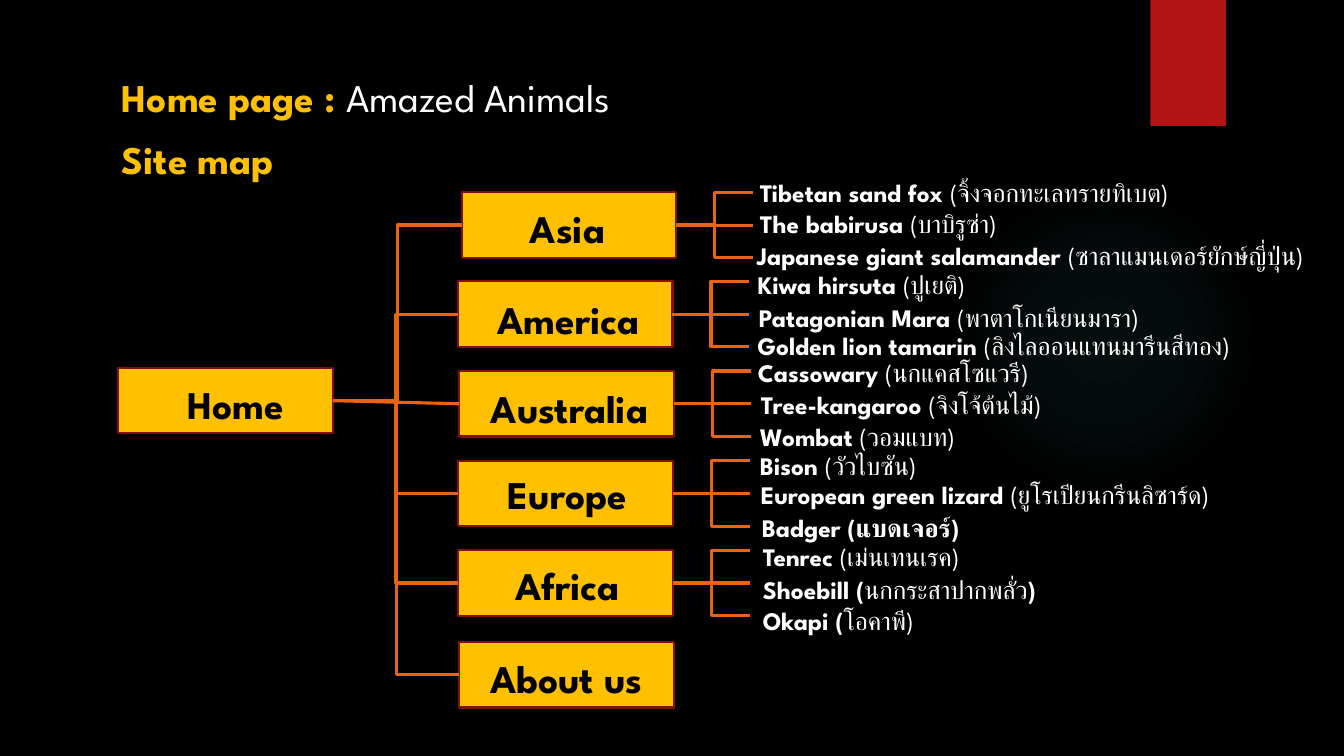
from pptx import Presentation
from pptx.dml.color import RGBColor
from pptx.enum.shapes import MSO_CONNECTOR, MSO_SHAPE
from pptx.enum.text import MSO_AUTO_SIZE, PP_ALIGN
from pptx.oxml import parse_xml
from pptx.oxml.ns import nsdecls
from pptx.util import Pt

RECT, OVAL = MSO_SHAPE.RECTANGLE, MSO_SHAPE.OVAL
ELBOW, STRAIGHT = MSO_CONNECTOR.ELBOW, MSO_CONNECTOR.STRAIGHT
LEFT, CENTER = PP_ALIGN.LEFT, PP_ALIGN.CENTER
FIT_TEXT = MSO_AUTO_SIZE.SHAPE_TO_FIT_TEXT

FONT = "League Spartan"
BLACK, WHITE, GOLD = "000000", "FFFFFF", "FFC000"
RED, MAROON, ORANGE, TEAL = "B01513", "82100E", "EA6312", "50B9C1"

# Runs in a tuple alternate bold, regular, bold.
HEADINGS = [  # left, top, width, runs
    (80, 49, 564, ("Home page : ", "Amazed Animals")),
    (80, 92.9, 157, ("Site map",)),
]
HOME = ("Home", 84.3, 262.8, 99.4, 267.8)
# name, box left, box top, label left, label top, animals (left, top, width, runs)
PAGES = [
    ("Asia", 329.8, 137.4, 336.2, 142.6, [
        (535.7, 123.1, 307, ("Tibetan sand fox ", "(จิ้งจอกทะเลทรายทิเบต)")),
        (535.7, 145.4, 247, ("The babirusa ", "(บาบิรูซ่า)")),
        (533.5, 167.8, 415, ("Japanese giant salamander ", "(ซาลาแมนเดอร์ยักษ์ญี่ปุ่น)")),
    ]),
    ("America", 327, 201, 337, 207.4, [
        (534.2, 188.6, 289, ("Kiwa hirsuta ", "(ปูเยติ)")),
        (535, 212.4, 376, ("Patagonian Mara ", "(พาตาโกเนียนมารา)")),
        (534.2, 232.6, 396, ("Golden lion tamarin ", "(ลิงไลออนแทนมารีนสีทอง)")),
    ]),
    ("Australia", 328.2, 265, 337.7, 270.7, [
        (534.2, 252, 250, ("Cassowary ", "(นกแคสโซแวรี)")),
        (536.4, 274.3, 280, ("Tree-kangaroo ", "(จิงโจ้ต้นไม้)")),
        (535.7, 297.4, 217, ("Wombat ", "(วอมแบท)")),
    ]),
    ("Europe", 327.5, 329, 336.2, 332.6, [
        (535.7, 318.2, 138, ("Bison ", "(วัวไบซัน)")),
        (536.4, 339.1, 344, ("European green lizard ", "(ยูโรเปียนกรีนลิซาร์ด)")),
        (537.1, 362.2, 208, ("Badger (แบดเจอร์)",)),
    ]),
    ("Africa", 327.5, 393, 336.2, 397.4, [
        (537.8, 383, 231, ("Tenrec ", "(เม่นเทนเรค)")),
        (537.8, 406.8, 307, ("Shoebill (", "นกกระสาปากพลั่ว", ")")),
        (537.8, 429.1, 196, ("Okapi (", "โอคาพี)")),
    ]),
    ("About us", 328.2, 458.6, 335.5, 463.7, []),
]

BOX_W, BOX_H = 153.4, 46.8
LABEL_W = 138.2
FAN_W = 55
RIGHT_SITE, LEFT_SITE = 3, 1


def rgb(color):
    return RGBColor.from_string(color)


def add_block(kind, left, top, width, height, fill, line=None):
    sp = slide.shapes.add_shape(kind, Pt(left), Pt(top), Pt(width), Pt(height))
    sp.shadow.inherit = False
    sp.fill.solid()
    sp.fill.fore_color.rgb = rgb(fill)
    if line:
        sp.line.color.rgb = rgb(line)
        sp.line.width = Pt(1.5)
    else:
        sp.line.fill.background()
    return sp


def add_text(left, top, width, runs, size, colors, align=LEFT):
    """Add one line of text; colors holds the bold and the regular colour."""
    height = 41 if size == 28 else 29
    tf = slide.shapes.add_textbox(Pt(left), Pt(top), Pt(width), Pt(height)).text_frame
    tf.word_wrap = True
    tf.auto_size = FIT_TEXT
    p = tf.paragraphs[0]
    p.alignment = align
    for i, text in enumerate(runs):
        r = p.add_run()
        r.text = text
        r.font.name = FONT
        r.font.size = Pt(size)
        r.font.bold = i % 2 == 0
        r.font.color.rgb = rgb(colors[i % 2])


def add_node(name, left, top, label_left, label_top):
    box = add_block(RECT, left, top, BOX_W, BOX_H, GOLD, MAROON)
    add_text(label_left, label_top, LABEL_W, (name,), 28, (BLACK, BLACK), CENTER)
    return box


def add_link(kind, start, end_x, end_y):
    """Connect the right side of a box to a point."""
    cxn = slide.shapes.add_connector(kind, start.left + start.width,
                                     start.top + start.height // 2, end_x, end_y)
    cxn.begin_connect(start, RIGHT_SITE)
    cxn.line.color.rgb = rgb(ORANGE)
    cxn.line.width = Pt(2.25)
    cxn._element.spPr.append(parse_xml(f"<a:effectLst {nsdecls('a')}/>"))
    return cxn


def add_glow():
    sp = add_block(OVAL, 677.5, 131.8, 221.8, 221.8, TEAL)
    stops = "".join(
        f'<a:gs pos="{pos}000"><a:srgbClr val="{TEAL}"><a:alpha val="{alpha}000"/></a:srgbClr></a:gs>'
        for pos, alpha in ((0, 7), (36, 6), (69, 0)))
    spPr = sp._element.spPr
    solid = spPr.find("{*}solidFill")
    spPr.replace(solid, parse_xml(
        f'<a:gradFill {nsdecls("a")}><a:gsLst>{stops}</a:gsLst><a:path path="circle">'
        '<a:fillToRect l="50000" t="50000" r="50000" b="50000"/></a:path></a:gradFill>'))


def add_ribbon():
    sp = add_block(RECT, 821.8, 0, 54, 90, RED)
    effects = sp._element.spPr.find("{*}effectLst")
    effects.append(parse_xml(
        f'<a:outerShdw {nsdecls("a")} blurRad="{Pt(3)}" dist="{Pt(2)}" dir="5400000">'
        f'<a:srgbClr val="{BLACK}"><a:alpha val="45000"/></a:srgbClr></a:outerShdw>'))


prs = Presentation()
prs.slide_width, prs.slide_height = Pt(960), Pt(540)
slide = prs.slides.add_slide(prs.slide_layouts[6])
slide.background.fill.solid()
slide.background.fill.fore_color.rgb = rgb(BLACK)

add_glow()
add_ribbon()
for left, top, width, runs in HEADINGS:
    add_text(left, top, width, runs, 28, (GOLD, WHITE))

home = add_node(*HOME)
for *node, animals in PAGES:
    box = add_node(*node)
    middle = box.top + box.height // 2
    level = abs(middle - home.top - home.height // 2) < Pt(5)
    trunk = add_link(STRAIGHT if level else ELBOW, home, box.left, middle)
    trunk.end_connect(box, LEFT_SITE)
    for i, (left, top, width, runs) in enumerate(animals):
        add_link(ELBOW, box, box.left + box.width + Pt(FAN_W), box.top + box.height * i // 2)
        add_text(left, top, width, runs, 18, (WHITE, WHITE))

prs.save("out.pptx")
